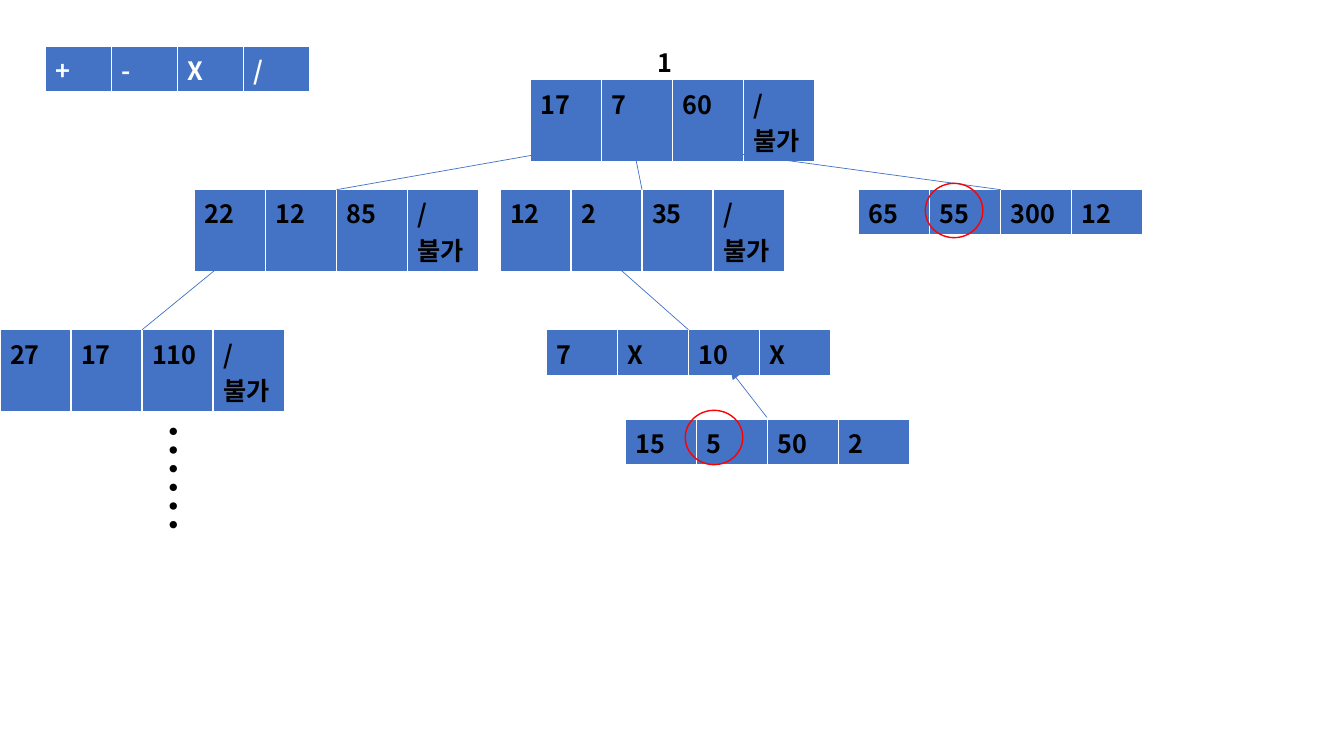
from lxml.etree import SubElement
from pptx import Presentation
from pptx.dml.color import RGBColor
from pptx.enum.shapes import MSO_CONNECTOR as CONN, MSO_SHAPE as SHAPE
from pptx.enum.text import MSO_AUTO_SIZE as AUTO
from pptx.oxml.ns import qn
from pptx.util import Cm, Pt

FONT = "Noto Sans CJK KR"
BLUE, RED, BLACK, WHITE = "4472C4", "FF0000", "000000", "FFFFFF"
COL_W, ROW_H, TALL_H = 1.79, 1.04, 1.78
NO_DIV = "/\n불가"
BORDERS = {"a:lnL": 1, "a:lnR": 1, "a:lnT": 1, "a:lnB": 3}

# Tree nodes: left, top, values for + - X /
LEVEL_1, LEVEL_2, LEVEL_3, LEVEL_4 = 2.01, 4.78, 8.31, 10.57
NODES = [
    (13.36, LEVEL_1, ["17", "7", "60", NO_DIV]),
    (4.9, LEVEL_2, ["22", "12", "85", NO_DIV]),
    (12.6, LEVEL_2, ["12", "2", "35", NO_DIV]),
    (21.64, LEVEL_2, ["65", "55", "300", "12"]),
    (0, LEVEL_3, ["27", "17", "110", NO_DIV]),
    (13.77, LEVEL_3, ["7", "X", "10", "X"]),
    (15.77, LEVEL_4, ["15", "5", "50", "2"]),
]

# Arrows from child to parent: x1, y1, x2, y2
ROOT_END, SECOND_END = LEVEL_1 + TALL_H, LEVEL_2 + TALL_H
ARROWS = [
    (19.33, 10.52, 18.42, LEVEL_3 + ROW_H),
    (17.35, LEVEL_3, 15.37, SECOND_END),
    (16.18, LEVEL_2, 15.98, ROOT_END),
    (8.48, LEVEL_2, 14.1, ROOT_END),
    (25.22, LEVEL_2, 17.98, ROOT_END),
    (3.58, LEVEL_3, 5.72, SECOND_END),
]
RINGS = [(17.27, 10.34), (23.32, 4.62)]


def rgb(value):
    return RGBColor.from_string(value)


def style_text(tf, color, size=18, bold=True):
    formats = {"name": FONT, "size": Pt(size), "bold": bold}
    for p in tf.paragraphs:
        for r in p.runs:
            for key, value in formats.items():
                setattr(r.font, key, value)
            r.font.color.rgb = rgb(color)
            SubElement(r._r.get_or_add_rPr(), qn("a:ea"), typeface=FONT)


def add_borders(cell):
    tc_pr = cell._tc.get_or_add_tcPr()
    for tag, width in BORDERS.items():
        ln = SubElement(tc_pr, qn(tag), w=str(Pt(width)))
        SubElement(SubElement(ln, qn("a:solidFill")), qn("a:srgbClr"), val=WHITE)


def add_row(s, x, y, values, col_w=COL_W, row_h=ROW_H, fill=BLUE, color=BLACK):
    """One-row table holding the given values."""
    frame = s.shapes.add_table(1, len(values), Cm(x), Cm(y),
                               Cm(col_w * len(values)), Cm(row_h))
    for cell, value in zip(frame.table.rows[0].cells, values):
        cell.text = value
        style_text(cell.text_frame, color)
        add_borders(cell)
        cell.fill.solid()
        cell.fill.fore_color.rgb = rgb(fill)
    if NO_DIV in values:
        frame.height = Cm(TALL_H)


def add_arrow(s, *ends):
    line = s.shapes.add_connector(CONN.STRAIGHT, *map(Cm, ends))
    line.line.color.rgb = rgb(BLUE)
    line.line.width = Pt(0.5)
    SubElement(line.line._get_or_add_ln(), qn("a:tailEnd"), type="triangle")
    SubElement(line._element.spPr, qn("a:effectLst"))


def add_ring(s, x, y):
    sp = s.shapes.add_shape(SHAPE.OVAL, Cm(x), Cm(y), Cm(1.45), Cm(1.37))
    sp.shadow.inherit = False
    sp.fill.background()
    sp.line.color.rgb = rgb(RED)
    sp.line.width = Pt(1)


def add_vertical_text(s, x, y, w, h, text):
    tf = s.shapes.add_textbox(Cm(x), Cm(y), Cm(w), Cm(h)).text_frame
    tf.text = text
    for key, value in {"word_wrap": True, "auto_size": AUTO.SHAPE_TO_FIT_TEXT}.items():
        setattr(tf, key, value)
    tf._txBody.bodyPr.set("vert", "eaVert")
    style_text(tf, BLACK, size=40, bold=False)


def main():
    prs = Presentation()
    prs.slide_width, prs.slide_height = Cm(33.87), Cm(19.05)
    s = prs.slides.add_slide(prs.slide_layouts[6])

    # Start value and search tree
    add_row(s, 16.31, 0.97, ["12"], col_w=1.24, row_h=1.22, fill=WHITE)
    for x, y, values in NODES:
        add_row(s, x, y, values)
    for ends in ARROWS:
        add_arrow(s, *ends)

    # Target values
    for x, y in RINGS:
        add_ring(s, x, y)

    # Operator legend and continuation dots
    add_row(s, 1.15, 1.17, ["+", "-", "X", "/"], col_w=1.66, row_h=1.02, color=WHITE)
    add_vertical_text(s, 3, 10.39, 2.39, 4.01, "……")
    prs.save("out.pptx")


main()
